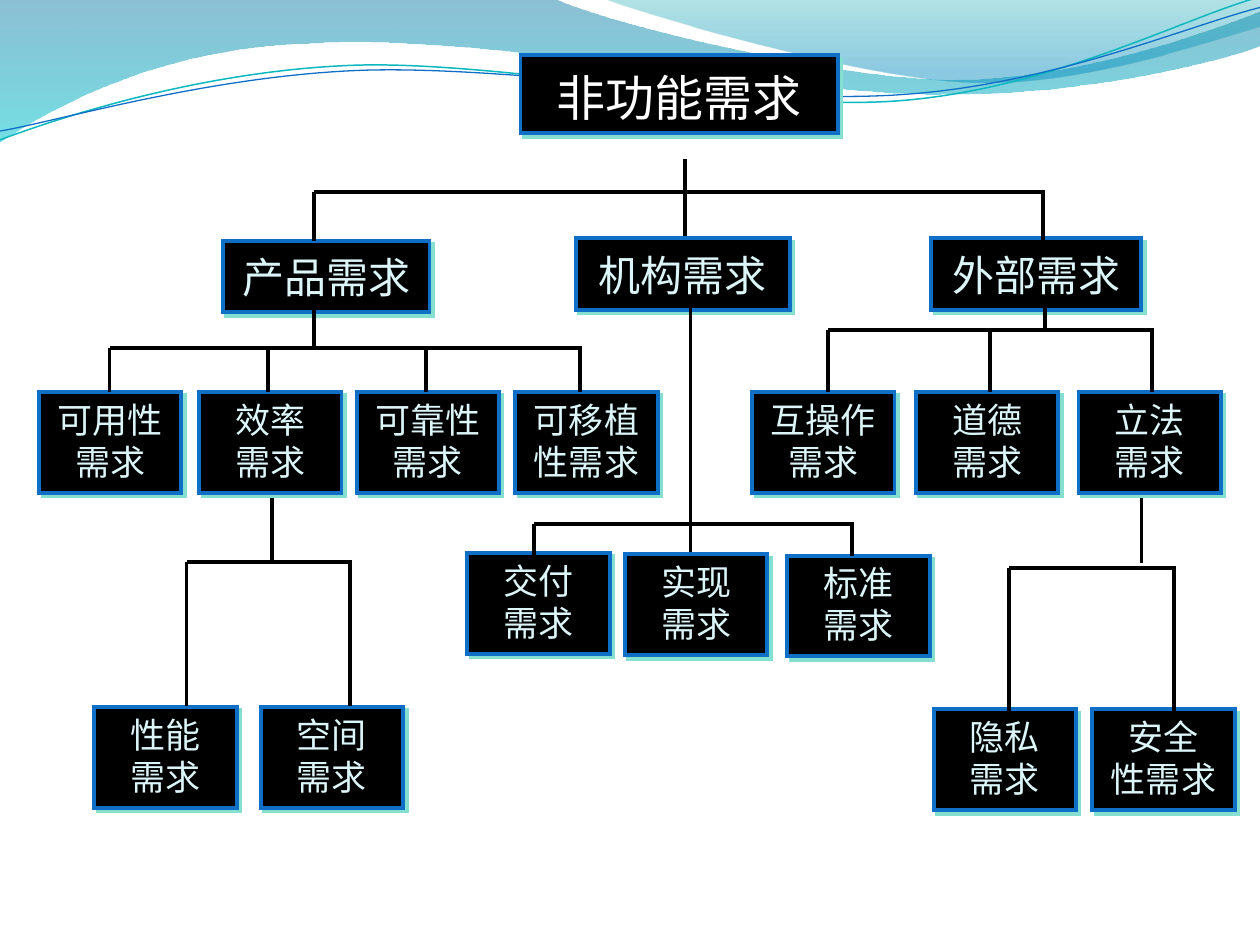
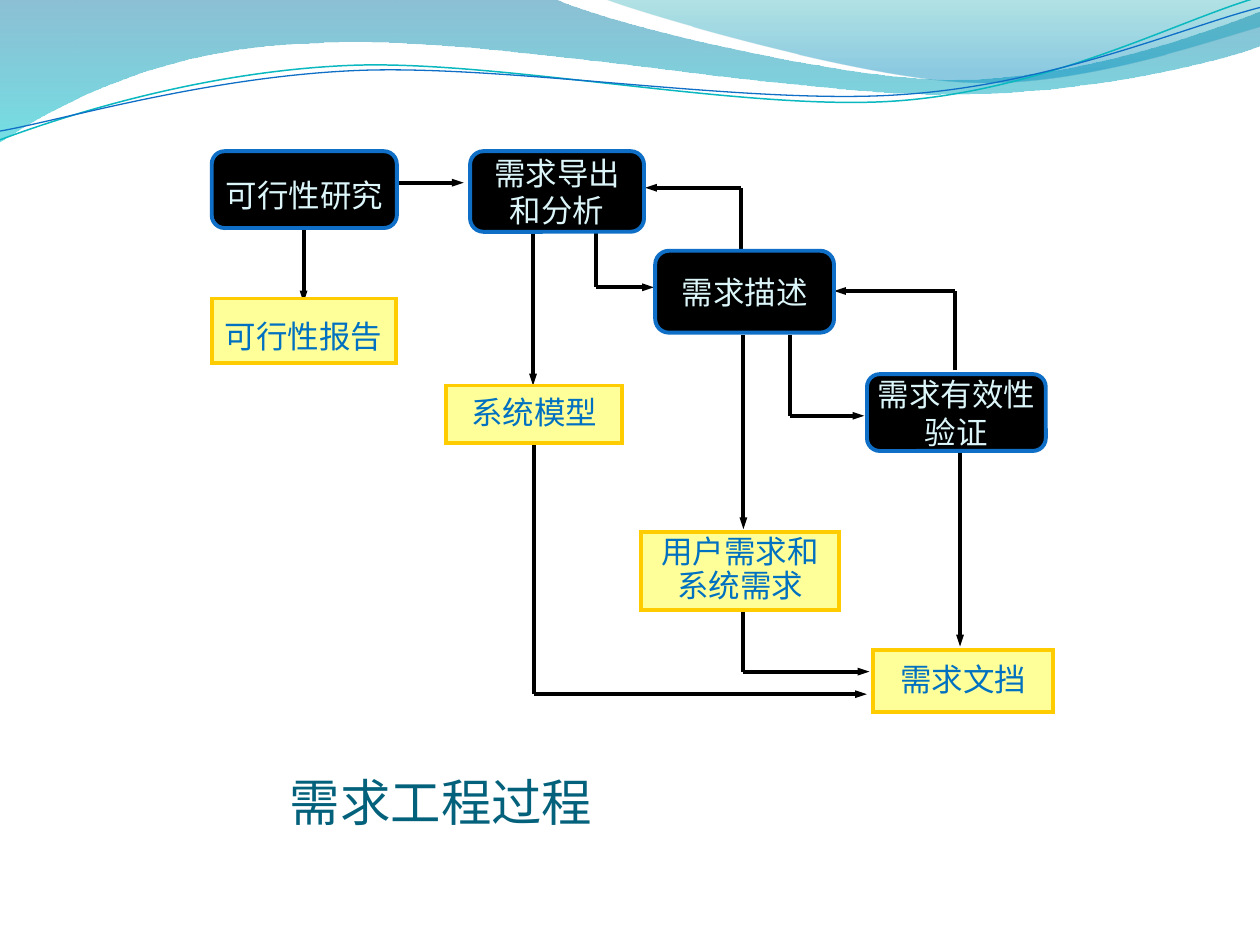
import math
from lxml import etree
from pptx import Presentation
from pptx.dml.color import RGBColor
from pptx.enum.shapes import MSO_CONNECTOR, MSO_SHAPE
from pptx.enum.text import MSO_ANCHOR, PP_ALIGN
from pptx.oxml.ns import qn
from pptx.util import Pt

RECT, ROUND = MSO_SHAPE.RECTANGLE, MSO_SHAPE.ROUNDED_RECTANGLE
STRAIGHT = MSO_CONNECTOR.STRAIGHT
TOP, MIDDLE, BOTTOM = MSO_ANCHOR.TOP, MSO_ANCHOR.MIDDLE, MSO_ANCHOR.BOTTOM
LEFT, CENTER = PP_ALIGN.LEFT, PP_ALIGN.CENTER

BLACK, WHITE, BLUE, PALE = "000000", "FFFFFF", "0F6FC6", "DBF5F9"
YELLOW, GOLD, DOC_TEXT, TITLE, SHADOW = "FFFF99", "FFCC00", "0070C0", "04617B", "85DFD0"
FONT, CJK_FONT = "Cambria", "Noto Sans CJK SC"
LINE_WIDTH = 2.25

# Header waves: a start point, then corners (2 numbers) or Bézier curves (6 numbers)
BANDS = [
    {"start": (0, 0),
     "steps": [(316.8, -0.7),
               (342.7, 12.2, 478.1, 45.4, 545.8, 45.4),
               (614.2, 45.4, 689.8, 18.7, 720, 6.5),
               (720.7, 25.9),
               (707.8, 31.7, 626.4, 54.7, 537.1, 54),
               (447.8, 54, 275, 20.2, 185, 24.5),
               (92.9, 25.9, 33.1, 59.8, -0.7, 81.4),
               (0, 0)],
     "stops": [(0, "0074A1", 45), (1, "00C6CF", 55)]},
    {"start": (344.9, -0.7),
     "steps": [(366.5, 7.9, 491, 44.6, 553.7, 46.8),
               (616.3, 49.7, 691.9, 23, 720, 15.1),
               (720, 0),
               (344.9, -0.7)],
     "stops": [(0, "00A1A9", 30), (0.8, "008BBF", 45)]},
]
STRAND_TILT = -2.7
STRANDS = [
    {"start": (0, 79.9), "center": (359.3, 41.4), "color": "0AB8BF", "width": 0.85,
     "steps": [(34.6, 67, 113.8, 41, 199.4, 37.4),
               (284.4, 33.8, 427, 64.1, 513.4, 57.6),
               (599.8, 51.1, 675.4, 10.8, 718.6, -1.4)]},
    {"start": (0, 74.9), "center": (359.6, 42.5), "color": BLUE, "width": 0.75,
     "steps": [(33.8, 69.1, 118.1, 43.9, 203.8, 40.3),
               (290.2, 36.7, 429.8, 60.5, 516.2, 54),
               (601.9, 48.2, 677.5, 15.1, 720, 4.3)]},
]

# Requirement tree: headings (left, top, width, height, text, size, colour)
HEADINGS = [
    (297.4, 31.7, 181.4, 44.6, "非功能需求", 28, WHITE),
    (127.4, 137.5, 118.1, 41, "产品需求", 24, PALE),
    (329, 136.1, 122.4, 41, "机构需求", 24, PALE),
    (532.1, 136.1, 120.2, 41, "外部需求", 24, PALE),
]
LEAF_SIZE = (81.4, 57.6)
LEAVES = [  # left, top, text
    (22.3, 224, "可用性\n需求"), (113.8, 224, "效率\n需求"),
    (203.8, 224, "可靠性\n需求"), (294.5, 224, "可移植\n性需求"),
    (429.8, 224, "互操作\n需求"), (523.4, 224, "道德\n需求"), (616.3, 224, "立法\n需求"),
    (267.1, 316, "交付\n需求"), (357.1, 316.8, "实现\n需求"), (450, 317.5, "标准\n需求"),
    (54, 404, "性能\n需求"), (149, 404, "空间\n需求"),
    (533.5, 405.4, "隐私\n需求"), (624.2, 405.4, "安全\n性需求"),
]
BRANCHES = [  # stem x, stem top, stem bottom, bar y, drop bottom, drop xs
    (391.7, 90.7, 134.6, 109.8, 138, (179.3, 596.2)),
    (179.3, 175.7, 198.7, 198.7, 224, (62.6, 153.4, 243.4, 331.2)),
    (394.6, 173.5, 315.4, 299.5, 317.5, (305.3, 486.7)),
    (596.9, 173.5, 190, 188.6, 224, (473, 565.9, 658.1)),
    (155.5, 284.4, 321, 321, 403.2, (106.6, 200.2)),
    (652.3, 284.4, 321.8, 324.7, 406.8, (576.7, 671)),
]

# Requirements process: left, top, width, height, text, line spacing
ACTIVITIES = [
    (121, 86.4, 105.8, 43.9, "可行性研究", 1.3),
    (268.6, 86.4, 99.4, 46.1, "需求导出\n和分析", 1),
    (374.4, 143.3, 102.2, 46.8, "需求描述", 1),
    (495.4, 213.8, 102.2, 43.9, "需求有效性\n验证", 1),
]
DOCUMENTS = [
    (121, 170.6, 105.1, 36.7, "可行性报告", 1.3),
    (254.9, 220.3, 100.8, 33.1, "系统模型", 0.9),
    (366.5, 303.8, 113, 44.6, "用户需求和\n系统需求", 0.9),
    (499, 371.5, 103, 35.3, "需求文挡", 0.9),
]
FLOWS = [  # corner points; the last one carries the arrowhead
    [(227.5, 104.4), (265, 104.4)],
    [(173.5, 130.3), (173.5, 172.8)],
    [(304.6, 133.2), (304.6, 220.3)],
    [(424.8, 191.5), (424.8, 302.4)],
    [(548.6, 258.5), (548.6, 369.4)],
    [(340.6, 133.2), (340.6, 164.2), (373.7, 164.2)],
    [(423.4, 142.6), (423.4, 107.3), (368.6, 107.3)],
    [(451.4, 191.5), (451.4, 237.6), (493.9, 237.6)],
    [(545.8, 211.7), (545.8, 166.3), (476.6, 166.3)],
    [(424.8, 349.2), (424.8, 383.8), (496.8, 383.8)],
    [(305.3, 253.4), (305.3, 396.7), (495.4, 396.7)],
]


def rgb(color):
    return RGBColor.from_string(color)


def pts(*values):
    return [Pt(v) for v in values]


def write(sp, text, size, color, font=FONT, align=CENTER, anchor=MIDDLE,
          spacing=1, wrap=False, insets=(7.2, 3.6, 7.2, 3.6)):
    tf = sp.text_frame
    tf.word_wrap = wrap
    tf.vertical_anchor = anchor
    tf.margin_left, tf.margin_top, tf.margin_right, tf.margin_bottom = pts(*insets)
    for i, line in enumerate(text.split("\n")):
        p = tf.add_paragraph() if i else tf.paragraphs[0]
        p.alignment = align
        p.line_spacing = spacing
        r = p.add_run()
        r.text = line
        r.font.size = Pt(size)
        r.font.name = font
        r.font.color.rgb = rgb(color)
        etree.SubElement(r.font._element, qn("a:ea"), typeface=CJK_FONT)


def add_box(s, kind, frame, fill, line, shadow=None):
    sp = s.shapes.add_shape(kind, *pts(*frame))
    sp.shadow.inherit = False
    sp.fill.solid()
    sp.fill.fore_color.rgb = rgb(fill)
    sp.line.color.rgb = rgb(line)
    sp.line.width = Pt(LINE_WIDTH)
    etree.SubElement(sp.line._get_or_add_ln(), qn("a:miter"), lim="800000")
    if shadow:
        effects = sp._element.spPr.find(qn("a:effectLst"))
        outer = etree.SubElement(effects, qn("a:outerShdw"), dist=str(Pt(2.8)),
                                 dir="2700000", algn="ctr", rotWithShape="0")
        etree.SubElement(outer, qn("a:srgbClr"), val=shadow)
    return sp


def add_line(s, start, end, arrow=False):
    c = s.shapes.add_connector(STRAIGHT, *pts(*start, *end))
    c.line.color.rgb = rgb(BLACK)
    c.line.width = Pt(LINE_WIDTH)
    if arrow:
        etree.SubElement(c.line._get_or_add_ln(), qn("a:tailEnd"),
                         type="triangle", w="sm", len="med")
    etree.SubElement(c._element.spPr, qn("a:effectLst"))


def turn(point, center, degrees):
    a = math.radians(degrees)
    dx, dy = point[0] - center[0], point[1] - center[1]
    return (center[0] + dx * math.cos(a) - dy * math.sin(a),
            center[1] + dx * math.sin(a) + dy * math.cos(a))


def add_path(s, wave, tilt=0):
    """Lay out all points as corners, then merge each three of a curve into one."""
    steps = wave["steps"]
    points = [wave["start"]] + [step[i:i + 2] for step in steps
                                for i in range(0, len(step), 2)]
    if tilt:
        points = [turn(point, wave["center"], -tilt) for point in points]
    builder = s.shapes.build_freeform(*pts(*points[0]), scale=1.0)
    builder.add_line_segments([pts(*point) for point in points[1:]], close=False)
    sp = builder.convert_to_shape()
    corners = iter(list(sp._element.spPr.iter(qn("a:lnTo"))))
    for step in steps:
        first, *others = [next(corners) for _ in range(len(step) // 2)]
        if others:
            first.tag = qn("a:cubicBezTo")
            for corner in others:
                first.append(corner[0])
                corner.getparent().remove(corner)
    sp.rotation = tilt
    sp.shadow.inherit = False
    return sp


def add_waves(s):
    for band in BANDS:
        sp = add_path(s, band)
        sp.line.fill.background()
        sp.fill.gradient()
        sp.fill.gradient_angle = 270
        for stop, (position, color, _) in zip(sp.fill.gradient_stops, band["stops"]):
            stop.position = position
            stop.color.rgb = rgb(color)
        colors = sp._element.spPr.iter(qn("a:srgbClr"))
        for clr, (_, _, opacity) in zip(list(colors), band["stops"]):
            etree.SubElement(clr, qn("a:alpha"), val=str(opacity * 1000))
    for strand in STRANDS:
        sp = add_path(s, strand, STRAND_TILT)
        sp.fill.background()
        sp.line.color.rgb = rgb(strand["color"])
        sp.line.width = Pt(strand["width"])


def add_slide(prs):
    s = prs.slides.add_slide(prs.slide_layouts[6])
    add_waves(s)
    return s


def build_tree(prs):
    s = add_slide(prs)
    for *frame, text, size, color in HEADINGS:
        sp = add_box(s, RECT, frame, BLACK, BLUE, SHADOW)
        write(sp, text, size, color, anchor=TOP, spacing=1.1, wrap=True)
    for x, y, text in LEAVES:
        sp = add_box(s, RECT, (x, y, *LEAF_SIZE), BLACK, BLUE, SHADOW)
        write(sp, text, 20, PALE, anchor=TOP, wrap=True)
    for stem, top, bottom, bar, drop, xs in BRANCHES:
        add_line(s, (stem, top), (stem, bottom))
        add_line(s, (xs[0], bar), (xs[-1] + LINE_WIDTH / 2, bar))
        for x in xs:
            add_line(s, (x, bar), (x, drop))


def build_process(prs):
    s = add_slide(prs)
    title = s.shapes.add_textbox(*pts(165.6, 439.2, 370.8, 36))
    write(title, "需求工程过程", 28.8, TITLE, font=CJK_FONT, align=LEFT,
          anchor=BOTTOM, wrap=True, insets=(0, 3.6, 0, 0))
    for flow in FLOWS:
        for start, end in zip(flow, flow[1:]):
            add_line(s, start, end, arrow=end == flow[-1])
    styles = [(ROUND, ACTIVITIES, BLACK, BLUE, PALE),
              (RECT, DOCUMENTS, YELLOW, GOLD, DOC_TEXT)]
    for kind, boxes, fill, line, color in styles:
        for *frame, text, spacing in boxes:
            sp = add_box(s, kind, frame, fill, line)
            write(sp, text, 18, color, spacing=spacing)


def main():
    prs = Presentation()
    prs.slide_width, prs.slide_height = pts(720, 540)
    build_tree(prs)
    build_process(prs)
    prs.save("out.pptx")


if __name__ == "__main__":
    main()
